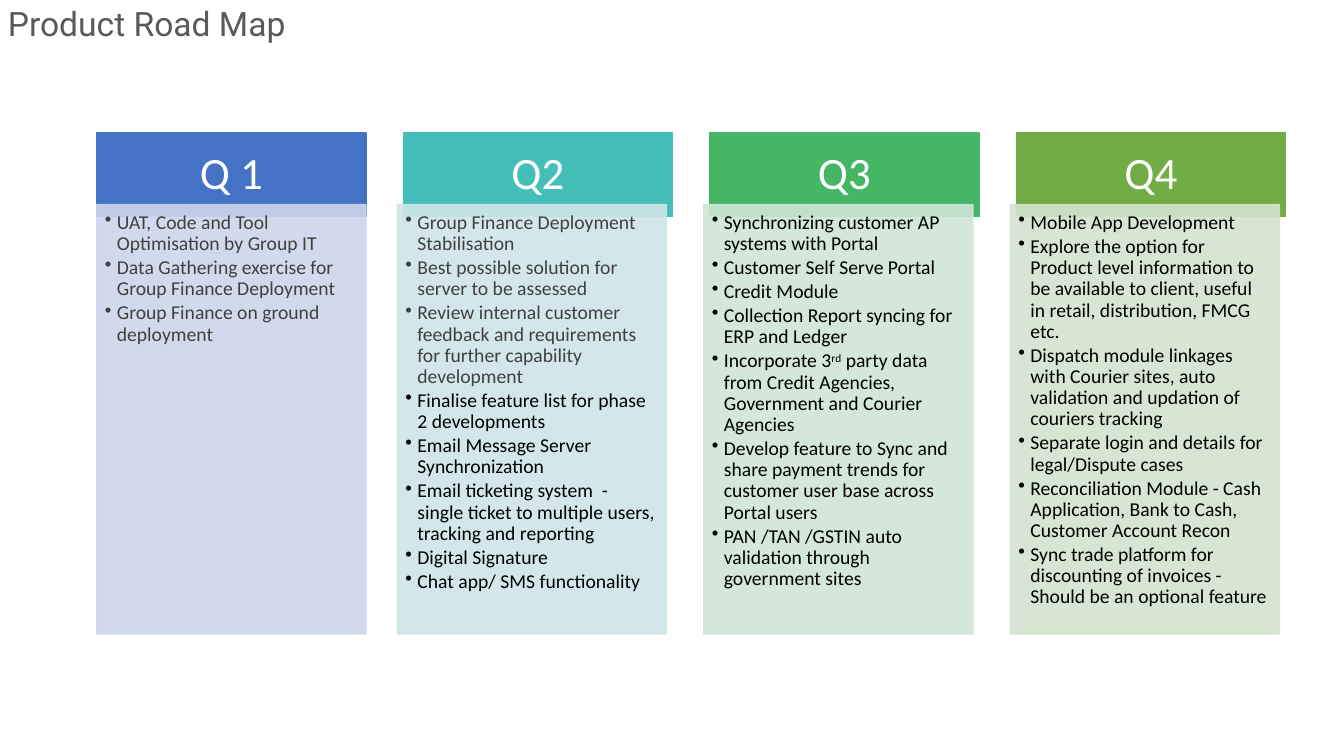
from pptx import Presentation
from pptx.dml.color import RGBColor
from pptx.enum.shapes import MSO_SHAPE
from pptx.enum.text import MSO_ANCHOR, PP_ALIGN
from pptx.oxml.ns import qn
from pptx.util import Inches, Pt
from lxml import etree

RECT = MSO_SHAPE.RECTANGLE
TOP, MIDDLE = MSO_ANCHOR.TOP, MSO_ANCHOR.MIDDLE
LEFT, CENTER = PP_ALIGN.LEFT, PP_ALIGN.CENTER

THEME = {
    "title": {"name": "Roboto", "size": Pt(24), "color": "595959"},
    "head": {"name": "Calibri", "size": Pt(32), "color": "FFFFFF"},
    "soft": {"name": "Calibri", "size": Pt(14), "color": "404040"},
    "dark": {"name": "Calibri", "size": Pt(14), "color": "000000"},
    "alpha": 90,
}

# Grid of four columns, in inches
START, PITCH, WIDTH = 0.96, 3.04, 2.67
HEAD_TOP, HEAD_HIGH = 1.32, 0.83
BODY_TOP, BODY_HIGH = 2.03, 4.26
SHIFT, HANG = 0.06, 0.12

# Head, head fill, body fill, count of soft grey items, items (^ marks superscript)
PLAN = [
    ("Q 1", "4472C4", "CFD5EA", 3, [
        "UAT, Code and Tool Optimisation by Group IT",
        "Data Gathering exercise for Group Finance Deployment",
        "Group Finance on ground deployment",
    ]),
    ("Q2", "43BEB9", "CFE5E8", 3, [
        "Group Finance Deployment Stabilisation",
        "Best possible solution for server to be assessed",
        "Review internal customer feedback and requirements for further "
        "capability development",
        "Finalise feature list for phase 2 developments",
        "Email Message Server Synchronization",
        "Email ticketing system  - single ticket to multiple users, "
        "tracking and reporting",
        "Digital Signature",
        "Chat app/ SMS functionality",
    ]),
    ("Q3", "45B664", "CFE5D8", 0, [
        "Synchronizing customer AP systems with Portal",
        "Customer Self Serve Portal",
        "Credit Module",
        "Collection Report syncing for ERP and Ledger",
        "Incorporate 3^rd^ party data from Credit Agencies, Government "
        "and Courier Agencies",
        "Develop feature to Sync and share payment trends for customer "
        "user base across Portal users",
        "PAN /TAN /GSTIN auto validation through government sites",
    ]),
    ("Q4", "70AD47", "D5E3CF", 0, [
        "Mobile App Development",
        "Explore the option for Product level information to be available "
        "to client, useful in retail, distribution, FMCG etc.",
        "Dispatch module linkages with Courier sites, auto validation and "
        "updation of couriers tracking",
        "Separate login and details for legal/Dispute cases",
        "Reconciliation Module - Cash Application, Bank to Cash, Customer "
        "Account Recon",
        "Sync trade platform for discounting of invoices - Should be an "
        "optional feature",
    ]),
]


def apply(target, values):
    for key, value in values.items():
        setattr(target, key, value)


def write(para, text, style):
    """Add runs; every second part between ^ marks is superscript."""
    for order, part in enumerate(text.split("^")):
        run = para.add_run()
        run.text = part
        apply(run.font, {"name": style["name"], "size": style["size"]})
        run.font.color.rgb = RGBColor.from_string(style["color"])
        if order % 2:
            run.font._element.set("baseline", "30000")


def fade(shape):
    for color in shape._element.spPr.iter(qn("a:srgbClr")):
        etree.SubElement(color, qn("a:alpha"), val=str(THEME["alpha"] * 1000))


def bullet(para):
    props = para._p.get_or_add_pPr()
    props.set("marL", str(Inches(HANG)))
    props.set("indent", str(-Inches(HANG)))
    etree.SubElement(props, qn("a:buChar"), char="•")


def panel(slide, box, color, anchor, inset):
    shape = slide.shapes.add_shape(RECT, *map(Inches, box))
    shape.shadow.inherit = False
    shape.fill.solid()
    shape.fill.fore_color.rgb = RGBColor.from_string(color)
    shape.line.color.rgb = RGBColor.from_string(color)
    shape.line.width = Pt(1)
    sides = ("margin_left", "margin_top", "margin_right", "margin_bottom")
    apply(shape.text_frame, {"word_wrap": True, "vertical_anchor": anchor,
                             **dict(zip(sides, map(Inches, inset)))})
    return shape


def title(slide, box, text):
    frame = slide.shapes.add_textbox(*map(Inches, box)).text_frame
    frame.word_wrap = False
    write(frame.paragraphs[0], text, THEME["title"])


def header(slide, box, text, color):
    shape = panel(slide, box, color, MIDDLE, (0.25, 0.14, 0.25, 0.14))
    para = shape.text_frame.paragraphs[0]
    apply(para, {"alignment": CENTER, "line_spacing": 0.9})
    write(para, text, THEME["head"])


def body(slide, box, items, soft, color):
    shape = panel(slide, box, color, TOP, (0.08, 0.08, 0.11, 0.12))
    fade(shape)
    frame = shape.text_frame
    for order, item in enumerate(items):
        para = frame.add_paragraph() if order else frame.paragraphs[0]
        apply(para, {"alignment": LEFT, "line_spacing": 0.9,
                     "space_after": Pt(2)})
        bullet(para)
        write(para, item, THEME["soft" if order < soft else "dark"])


def main():
    deck = Presentation()
    apply(deck, {"slide_width": Inches(13.33), "slide_height": Inches(7.5)})
    slide = deck.slides.add_slide(deck.slide_layouts[6])

    title(slide, (-0.02, -0.02, 3.2, 0.5), "Product Road Map")

    # One column per quarter; later bodies sit slightly left of their heads
    for order, (name, strong, pale, soft, items) in enumerate(PLAN):
        left = START + order * PITCH
        inner = left - SHIFT if order else left
        header(slide, (left, HEAD_TOP, WIDTH, HEAD_HIGH), name, strong)
        body(slide, (inner, BODY_TOP, WIDTH, BODY_HIGH), items, soft, pale)

    deck.save("out.pptx")


if __name__ == "__main__":
    main()
